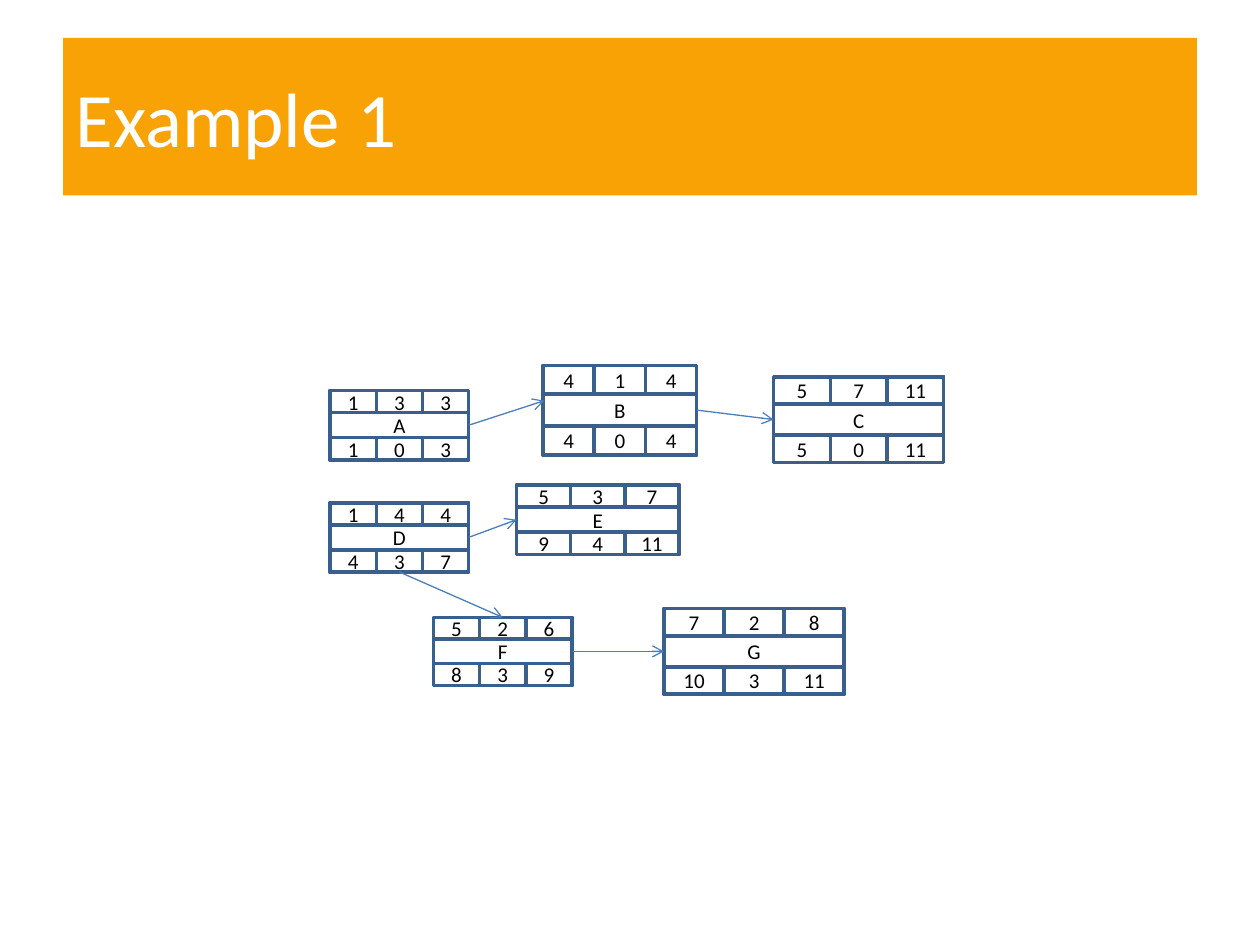
from dataclasses import dataclass

from lxml import etree
from pptx import Presentation
from pptx import util as u
from pptx.dml.color import RGBColor
from pptx.enum import shapes, text
from pptx.oxml.ns import qn


@dataclass(frozen=True)
class Theme:
    font: str = "Calibri"
    title_size: int = 44
    node_size: int = 12
    banner: RGBColor = RGBColor(0xF8, 0xA2, 0x06)
    white: RGBColor = RGBColor(0xFF, 0xFF, 0xFF)
    black: RGBColor = RGBColor(0x00, 0x00, 0x00)
    border: RGBColor = RGBColor(0x3A, 0x5F, 0x8C)
    arrow: RGBColor = RGBColor(0x4B, 0x7E, 0xBC)


theme = Theme()
TOP, LEFT, BOTTOM, RIGHT = range(4)
CELL_SHARE = 0.32  # share of a node's height taken by each row of cells


def write(shape, words, size, color, align):
    frame = shape.text_frame
    frame.vertical_anchor = text.MSO_ANCHOR.MIDDLE
    para = frame.paragraphs[0]
    para.alignment = align
    span = para.add_run()
    span.text = words
    span.font.name = theme.font
    span.font.size = u.Pt(size)
    span.font.color.rgb = color


def add_box(group, words, left, top, width, height):
    box = group.shapes.add_shape(
        shapes.MSO_SHAPE.RECTANGLE,
        *(u.Inches(length) for length in (left, top, width, height)),
    )
    box.shadow.inherit = False
    box.fill.solid()
    box.fill.fore_color.rgb = theme.white
    box.line.color.rgb = theme.border
    box.line.width = u.Pt(2)
    box.text_frame.margin_top = box.text_frame.margin_bottom = 0
    write(box, words, size=theme.node_size, color=theme.black,
          align=text.PP_ALIGN.CENTER)
    return box


deck = Presentation()
deck.slide_width, deck.slide_height = u.Inches(10), u.Inches(7.5)
page = deck.slides.add_slide(deck.slide_layouts[5])

title = page.shapes.title
title.left, title.top = u.Inches(0.5), u.Inches(0.3)
title.width, title.height = u.Inches(9), u.Inches(1.25)
title.fill.solid()
title.fill.fore_color.rgb = theme.banner
write(title, "Example 1", size=theme.title_size, color=theme.white,
      align=text.PP_ALIGN.LEFT)

# Activity: left, top, width, height, upper cells, lower cells
activities = {
    "A": (2.62, 3.10, 1.10, 0.55, (1, 3, 3), (1, 0, 3)),
    "B": (4.31, 2.90, 1.22, 0.71, (4, 1, 4), (4, 0, 4)),
    "C": (6.14, 2.99, 1.35, 0.68, (5, 7, 11), (5, 0, 11)),
    "D": (2.62, 3.99, 1.10, 0.55, (1, 4, 4), (4, 3, 7)),
    "E": (4.10, 3.85, 1.29, 0.55, (5, 3, 7), (9, 4, 11)),
    "F": (3.44, 4.90, 1.10, 0.54, (5, 2, 6), (8, 3, 9)),
    "G": (5.27, 4.83, 1.43, 0.68, (7, 2, 8), (10, 3, 11)),
}
nodes = {}
for name, (left, top, width, height, upper, lower) in activities.items():
    group = page.shapes.add_group_shape()
    nodes[name] = add_box(group, name, left, top, width, height)
    cell_width, cell_height = width / 3, height * CELL_SHARE
    for row_top, values in ((top, upper), (top + height - cell_height, lower)):
        for column, value in enumerate(values):
            add_box(group, str(value), left + column * cell_width, row_top,
                    cell_width, cell_height)

# The arrow into B ends above the middle of its side, so it has a free end.
links = [
    ("A", RIGHT, None, (4.32, 3.18)),
    ("B", RIGHT, "C", LEFT),
    ("D", RIGHT, "E", LEFT),
    ("D", BOTTOM, "F", TOP),
    ("F", RIGHT, "G", LEFT),
]
for source, source_side, target, end in links:
    end_x, end_y = (0, 0) if target else end
    arrow = page.shapes.add_connector(
        shapes.MSO_CONNECTOR.STRAIGHT, 0, 0, u.Inches(end_x), u.Inches(end_y))
    arrow.begin_connect(nodes[source], source_side)
    if target:
        arrow.end_connect(nodes[target], end)
    arrow.line.color.rgb = theme.arrow
    arrow.line.width = u.Pt(0.75)
    etree.SubElement(arrow.line._get_or_add_ln(), qn("a:tailEnd"), type="arrow")
    etree.SubElement(arrow._element.spPr, qn("a:effectLst"))

deck.save("out.pptx")
